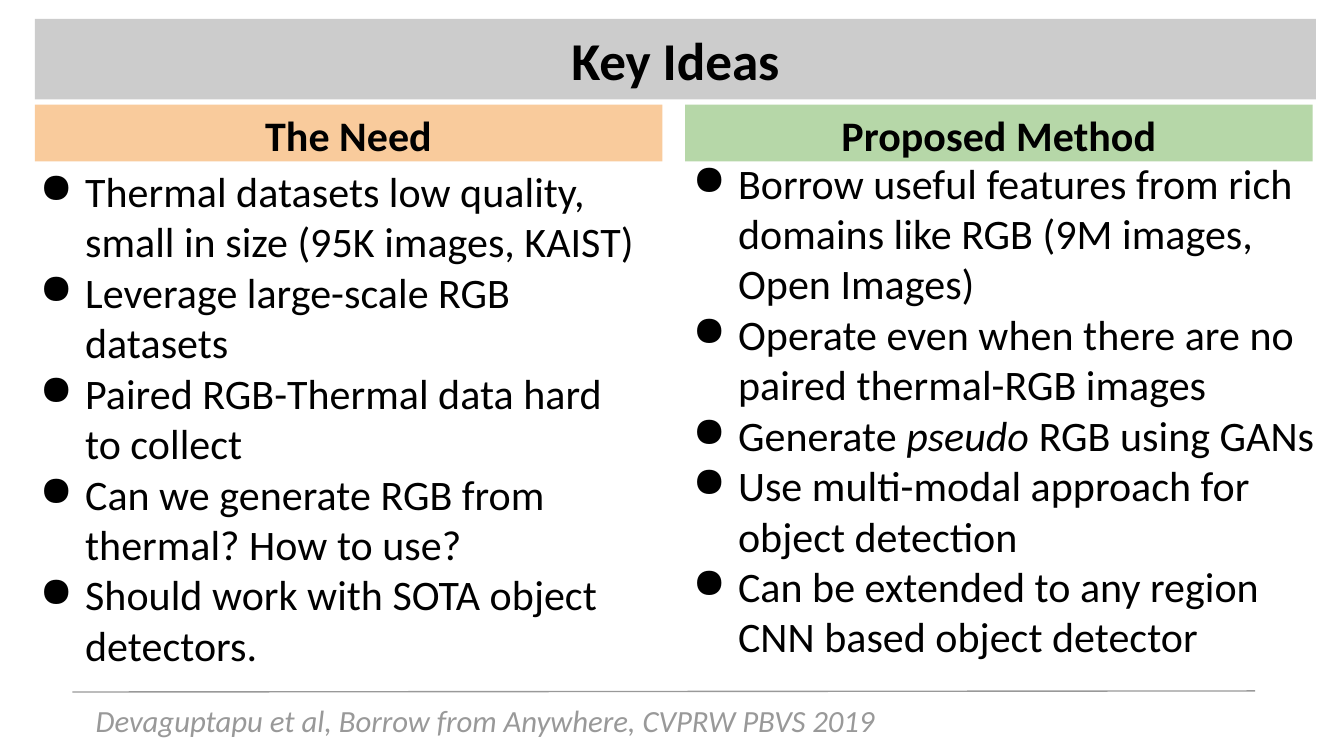
from lxml import etree
from pptx import Presentation
from pptx import util as u
from pptx.dml.color import RGBColor
from pptx.enum import shapes, text
from pptx.oxml.ns import qn

COLORS = {
    "ink": "000000",
    "title": "CCCCCC",
    "need": "F9CB9C",
    "method": "B6D7A8",
    "footer": "999999",
}


def set_frame(box, inset_y=0.1, anchor=text.MSO_ANCHOR.TOP):
    frame = box.text_frame
    settings = {
        "word_wrap": True,
        "vertical_anchor": anchor,
        "margin_left": u.Cm(0.18),
        "margin_right": u.Cm(0.18),
        "margin_top": u.Cm(inset_y),
        "margin_bottom": u.Cm(inset_y),
    }
    for name, value in settings.items():
        setattr(frame, name, value)
    return frame


def add_run(paragraph, words, size, color="ink", **styles):
    run = paragraph.add_run()
    run.text = words
    for name, value in {"name": "Calibri", "size": u.Pt(size), **styles}.items():
        setattr(run.font, name, value)
    run.font.color.rgb = RGBColor.from_string(COLORS[color])


deck = Presentation()
deck.slide_width, deck.slide_height = u.Cm(25.4), u.Cm(14.29)
slide = deck.slides.add_slide(deck.slide_layouts[6])

# Bullet columns: each bullet is a list of (words, italic) pieces
method_points = [
    [("Borrow useful features from rich domains like RGB (9M images, Open Images)", False)],
    [("Operate even when there are no paired thermal-RGB images", False)],
    [("Generate ", False), ("pseudo ", True), ("RGB using GANs", False)],
    [("Use multi-modal approach for object detection", False)],
    [("Can be extended to any region CNN based object detector", False)],
]
need_points = [
    [("Thermal datasets low quality, small in size (95K images, KAIST)", False)],
    [("Leverage large-scale RGB datasets", False)],
    [("Paired RGB-Thermal data hard to collect", False)],
    [("Can we generate RGB from thermal? How to use?", False)],
    [("Should work with SOTA object detectors.", False)],
]
columns = [
    (method_points, (12.8, 2.87, 12.45, 9.58)),
    (need_points, (0.46, 3.03, 11.86, 9.86)),
]
for points, place in columns:
    column = set_frame(slide.shapes.add_textbox(*map(u.Cm, place)))
    for i, pieces in enumerate(points):
        point = column.add_paragraph() if i else column.paragraphs[0]
        props = point._p.get_or_add_pPr()
        props.set("marL", str(u.Cm(0.97)))
        props.set("indent", str(-u.Cm(0.86)))
        bullet_color = etree.SubElement(props, qn("a:buClr"))
        etree.SubElement(bullet_color, qn("a:srgbClr"), val=COLORS["ink"])
        etree.SubElement(props, qn("a:buChar"), char="●")
        for words, italic in pieces:
            add_run(point, words, 22.5, italic=italic)

# Title and column heading bars
bars = [
    ("Key Ideas", "title", 28.5, (0.66, 0.36, 24.21, 1.52), text.MSO_ANCHOR.MIDDLE),
    ("The Need", "need", 22.5, (0.66, 1.98, 11.86, 1.07), text.MSO_ANCHOR.TOP),
    ("Proposed Method", "method", 22.5, (12.95, 1.98, 11.86, 1.07), text.MSO_ANCHOR.TOP),
]
for words, color, size, place, anchor in bars:
    bar = slide.shapes.add_shape(shapes.MSO_SHAPE.RECTANGLE, *map(u.Cm, place))
    bar.shadow.inherit = False
    bar.fill.solid()
    bar.fill.fore_color.rgb = RGBColor.from_string(COLORS[color])
    bar.line.fill.background()
    heading = set_frame(bar, anchor=anchor).paragraphs[0]
    heading.alignment = text.PP_ALIGN.CENTER
    add_run(heading, words, size, bold=True)

# Footer rule and citation
rule = slide.shapes.add_connector(
    shapes.MSO_CONNECTOR.STRAIGHT, *map(u.Cm, (23.72, 13.06, 1.37, 13.08)))
rule.line.color.rgb = RGBColor.from_string(COLORS["footer"])
rule.line.width = u.Pt(0.75)
etree.SubElement(rule._element.spPr, qn("a:effectLst"))

citation = set_frame(
    slide.shapes.add_textbox(*map(u.Cm, (1.63, 13.08, 20.4, 1.07))), inset_y=0.18)
add_run(citation.paragraphs[0], "Devaguptapu et al, Borrow from Anywhere, CVPRW PBVS 2019",
        16.5, "footer", italic=True)

deck.save("out.pptx")
